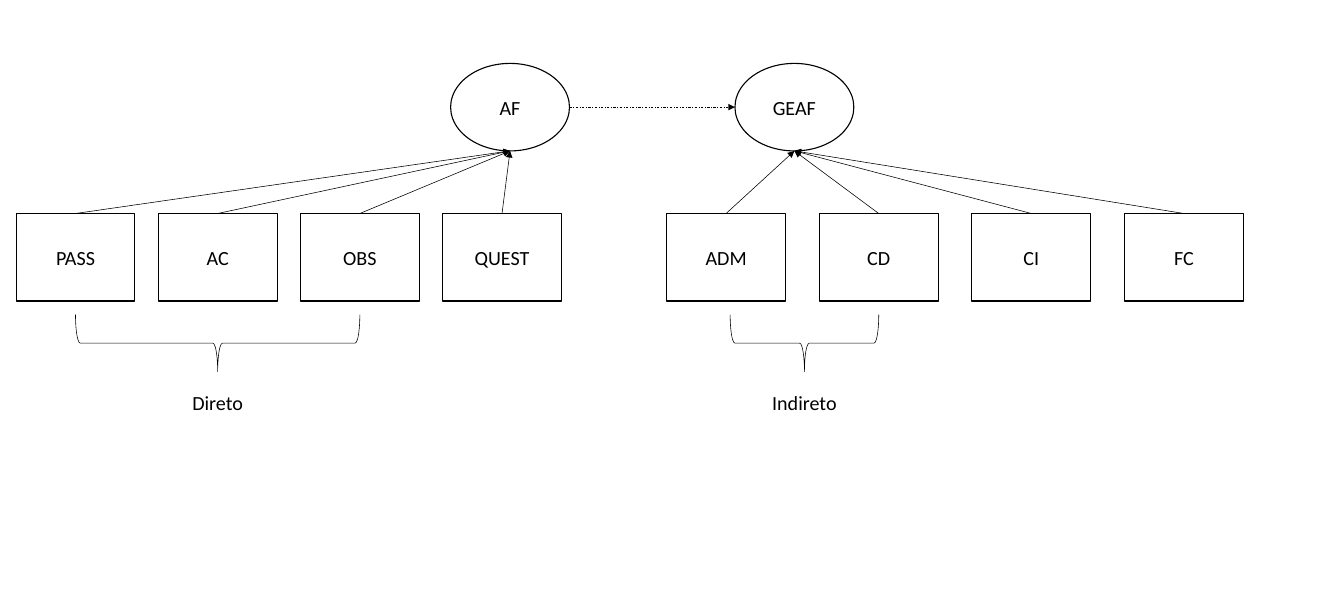
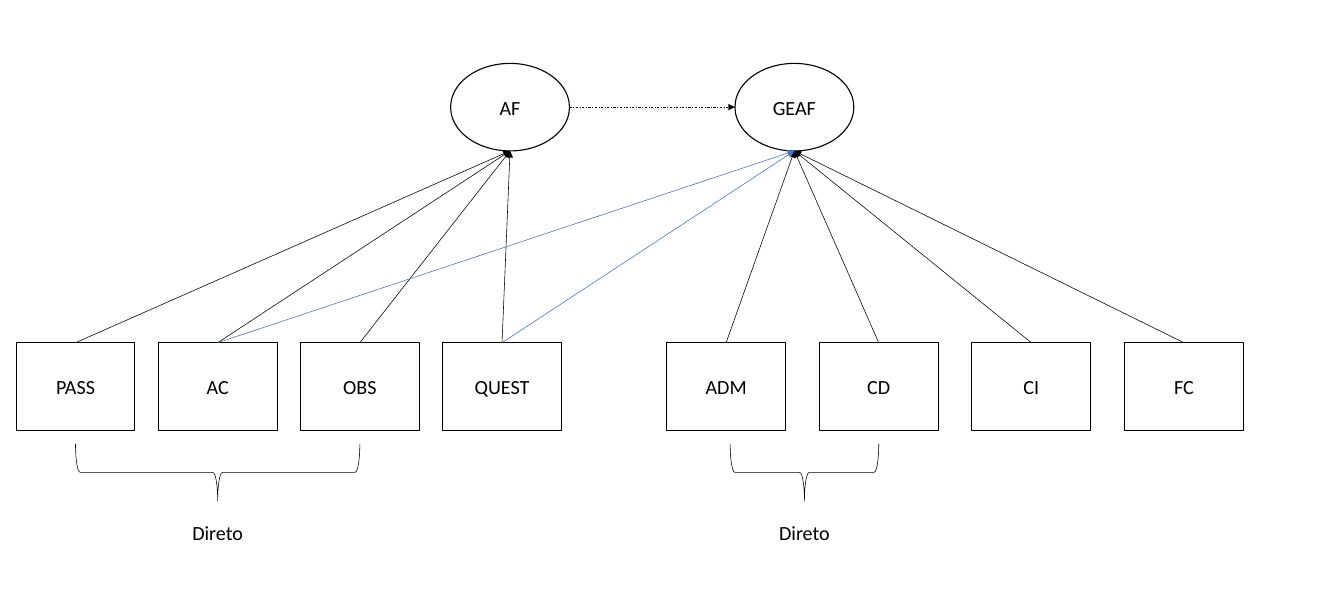
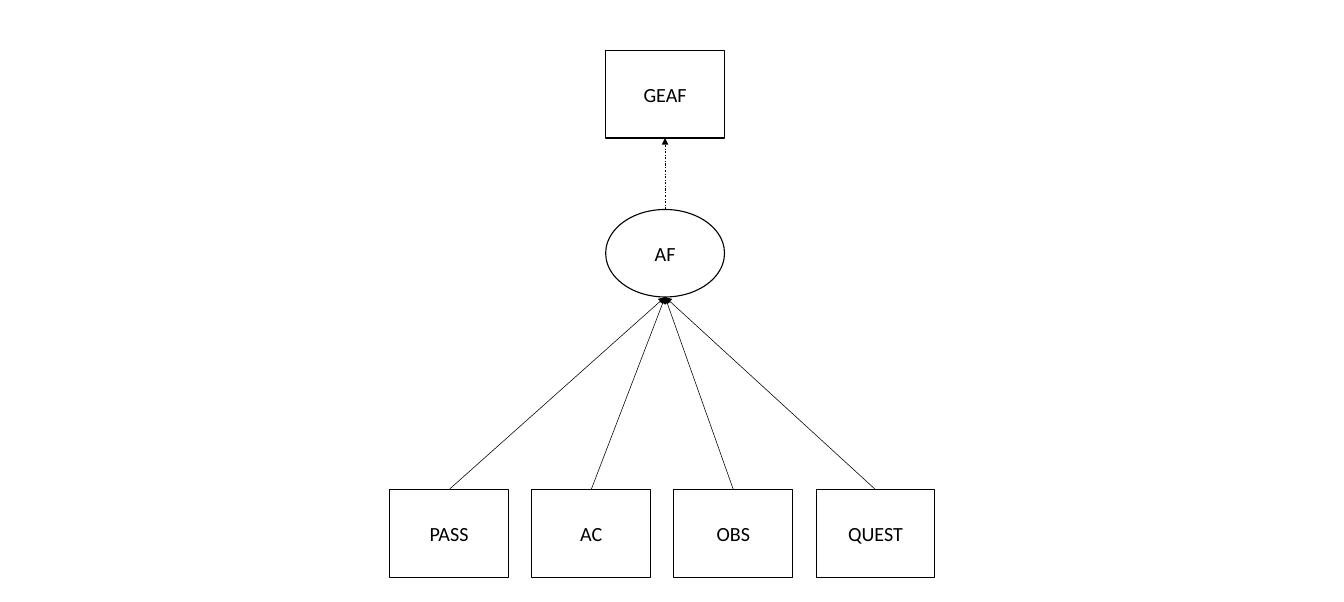
import dataclasses

import lxml.etree
import pptx
import pptx.dml.color
import pptx.enum.dml
import pptx.enum.shapes
import pptx.enum.text
import pptx.oxml.ns
import pptx.util

SHAPE = pptx.enum.shapes.MSO_SHAPE
RGB = pptx.dml.color.RGBColor.from_string
Inches = pptx.util.Inches
Pt = pptx.util.Pt
qn = pptx.oxml.ns.qn


@dataclasses.dataclass(frozen=True)
class Theme:
    ink: str = "000000"
    paper: str = "FFFFFF"
    accent: str = "4472C4"
    font: str = "Calibri"
    text_size: float = 18
    outline: float = 1
    hairline: float = 0.5


@dataclasses.dataclass(frozen=True)
class Row:
    """Evenly spaced columns of nodes: first left edge and column pitch."""
    start: float
    pitch: float

    def left(self, column):
        return self.start + column * self.pitch


THEME = Theme()
SLIDE_W, SLIDE_H = pptx.util.Cm(42.5), Inches(7.5)
NODE_W, NODE_H = 1.48, 1.09
BRACE_GAP, BRACE_DEPTH = 0.17, 0.71
LABEL_GAP, LABEL_W, LABEL_H = 1.07, 1.1, 0.4
BRACE_INSET = 0.05

FACTORS_TOP = 0.79
AF_ROW, GEAF_ROW = Row(0.2, 1.77), Row(8.3, 1.9)
FACTORS_ROW = Row(5.61, 3.54)
AF_ITEMS = ["PASS", "AC", "OBS", "QUEST"]
GEAF_ITEMS = ["ADM", "CD", "CI", "FC"]


# Formatting
def apply(target, values):
    for attribute, value in values.items():
        setattr(target, attribute, value)


def style_line(line, width, color=THEME.ink):
    line.color.rgb = RGB(color)
    line.width = Pt(width)


def write(frame, text):
    paragraph = frame.paragraphs[0]
    paragraph.alignment = pptx.enum.text.PP_ALIGN.CENTER
    run = paragraph.add_run()
    run.text = text
    apply(run.font, {"name": THEME.font, "size": Pt(THEME.text_size)})
    run.font.color.rgb = RGB(THEME.ink)


# Points where arrows meet a node
def top_of(node):
    return node.left + node.width // 2, node.top


def bottom_of(node):
    return node.left + node.width // 2, node.top + node.height


def left_of(node):
    return node.left, node.top + node.height // 2


def right_of(node):
    return node.left + node.width, node.top + node.height // 2


# Kinds of element
def add_node(shapes, text, left, top, kind=SHAPE.RECTANGLE):
    node = shapes.add_shape(kind, *map(Inches, (left, top, NODE_W, NODE_H)))
    node.shadow.inherit = False
    node.fill.solid()
    node.fill.fore_color.rgb = RGB(THEME.paper)
    style_line(node.line, THEME.outline)
    node.text_frame.vertical_anchor = pptx.enum.text.MSO_ANCHOR.MIDDLE
    write(node.text_frame, text)
    return node


def add_arrow(shapes, start, end, color=THEME.ink, dashed=False):
    straight = pptx.enum.shapes.MSO_CONNECTOR.STRAIGHT
    arrow = shapes.add_connector(straight, *start, *end)
    style_line(arrow.line, THEME.hairline, color)
    if dashed:
        arrow.line.dash_style = pptx.enum.dml.MSO_LINE.DASH_DOT
    properties = arrow._element.spPr
    outline = properties.find(qn("a:ln"))
    lxml.etree.SubElement(outline, qn("a:tailEnd"), type="triangle")
    lxml.etree.SubElement(properties, qn("a:effectLst"))


def add_items(shapes, items, row, top, factor):
    """A row of observed items, each pointing at its factor."""
    nodes = {text: add_node(shapes, text, row.left(column), top)
             for column, text in enumerate(items)}
    for node in nodes.values():
        add_arrow(shapes, top_of(node), bottom_of(factor))
    return nodes


def add_brace(shapes, text, first_x, last_x, items_top):
    """A downward brace under the items, with its label."""
    span, center = last_x - first_x, (first_x + last_x) / 2
    items_bottom = items_top + NODE_H
    middle = items_bottom + BRACE_GAP + BRACE_DEPTH / 2
    # The size is that before the quarter turn
    brace = shapes.add_shape(
        SHAPE.LEFT_BRACE, Inches(center - BRACE_DEPTH / 2),
        Inches(middle - span / 2), Inches(BRACE_DEPTH), Inches(span))
    brace.rotation = 270
    brace.shadow.inherit = False
    brace.fill.background()
    style_line(brace.line, THEME.hairline)

    label = shapes.add_textbox(
        Inches(center - LABEL_W / 2), Inches(items_bottom + LABEL_GAP),
        Inches(LABEL_W), Inches(LABEL_H))
    apply(label.text_frame, {
        "word_wrap": True,
        "auto_size": pptx.enum.text.MSO_AUTO_SIZE.SHAPE_TO_FIT_TEXT})
    write(label.text_frame, text)


# Slides
def add_two_factor_model(shapes, items_top, geaf_label, crossed=()):
    af, geaf = [
        add_node(shapes, text, FACTORS_ROW.left(column), FACTORS_TOP,
                 SHAPE.FLOWCHART_CONNECTOR)
        for column, text in enumerate(["AF", "GEAF"])]
    add_arrow(shapes, right_of(af), left_of(geaf), dashed=True)
    add_items(shapes, GEAF_ITEMS, GEAF_ROW, items_top, geaf)
    af_items = add_items(shapes, AF_ITEMS, AF_ROW, items_top, af)

    half = NODE_W / 2
    add_brace(shapes, "Direto", AF_ROW.left(0) + half,
              AF_ROW.left(2) + half, items_top)
    add_brace(shapes, geaf_label, GEAF_ROW.left(0) + half + BRACE_INSET,
              GEAF_ROW.left(1) + half, items_top)
    for text in crossed:
        add_arrow(shapes, top_of(af_items[text]), bottom_of(geaf),
                  THEME.accent)


def add_single_factor_model(shapes):
    model = shapes.add_group_shape().shapes
    center_left = 7.54
    af = add_node(model, "AF", center_left, 2.61, SHAPE.FLOWCHART_CONNECTOR)
    geaf = add_node(model, "GEAF", center_left, 0.63)
    add_arrow(model, top_of(af), bottom_of(geaf), dashed=True)
    add_items(model, AF_ITEMS, Row(4.85, AF_ROW.pitch), 6.1, af)


def main():
    deck = pptx.Presentation()
    deck.slide_width = SLIDE_W
    deck.slide_height = SLIDE_H
    blank = deck.slide_layouts[6]
    indirect, direct, single = [
        deck.slides.add_slide(blank).shapes for _ in range(3)]
    add_two_factor_model(indirect, 2.66, "Indireto")
    add_two_factor_model(direct, 4.27, "Direto", crossed=["AC", "QUEST"])
    add_single_factor_model(single)
    deck.save("out.pptx")


if __name__ == "__main__":
    main()
